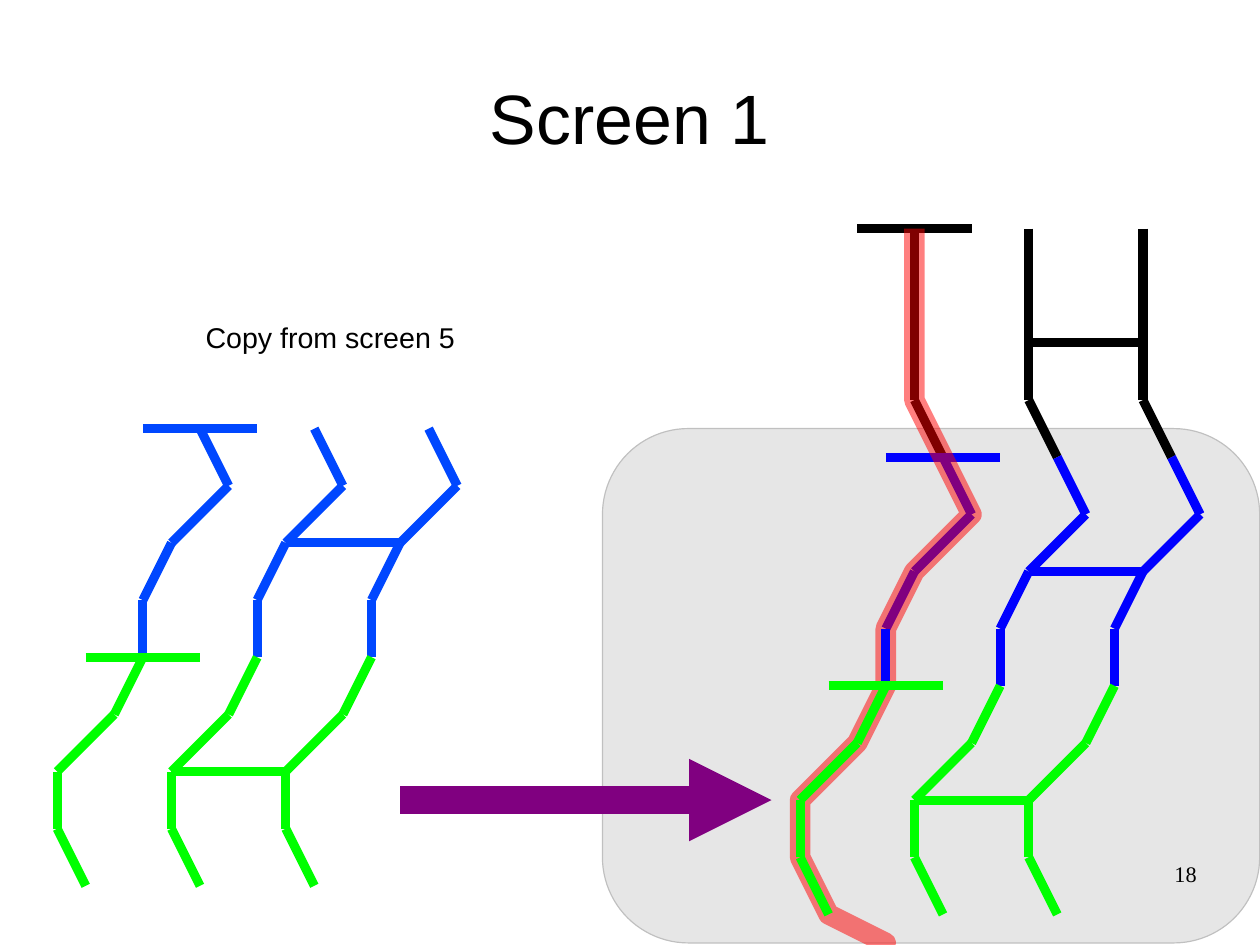
from dataclasses import dataclass
from itertools import pairwise

from lxml.etree import SubElement
from pptx import Presentation
from pptx.dml.color import RGBColor
from pptx.enum.shapes import MSO_CONNECTOR, MSO_SHAPE
from pptx.enum.text import MSO_ANCHOR, MSO_AUTO_SIZE, PP_ALIGN
from pptx.oxml.ns import qn
from pptx.shapes.connector import Connector
from pptx.slide import Slide
from pptx.text.text import TextFrame
from pptx.util import Pt

BLACK = RGBColor(0x00, 0x00, 0x00)
BLUE = RGBColor(0x00, 0x00, 0xFF)
AZURE = RGBColor(0x00, 0x47, 0xFF)
GREEN = RGBColor(0x00, 0xFF, 0x00)
RED = RGBColor(0xFF, 0x00, 0x00)
PURPLE = RGBColor(0x80, 0x00, 0x80)
PALE = RGBColor(0xE6, 0xE6, 0xE6)
GRAY = RGBColor(0xC0, 0xC0, 0xC0)

Point = tuple[float, float]

# Grid: strands one pitch apart, each step one row down
PITCH = 72
ROW = 36
STROKE = 5.75

# Sideways shift of each step
UPPER = (0, 0, 0, 18)
MIDDLE = (18, -36, -18)
STEM = (0,)
LOWER = (-18, -36, 0, 18)


@dataclass
class Band:
    """Three equal strands, with a cap on the first and a bar between the others."""
    start: Point
    steps: tuple[int, ...]
    color: RGBColor
    bar: int | None = 2  # step at which the bar sits; None leaves out cap and bar


UNDER = [
    Band((576, 144), UPPER, BLACK),
    Band((594, 288), MIDDLE, BLUE),
]
OVER = [
    Band((558, 396), STEM, BLUE, None),
    Band((126, 270), MIDDLE + STEM, AZURE),
    Band((90, 414), LOWER, GREEN),
    Band((558, 432), LOWER, GREEN),
]


def trace(start: Point, steps: tuple[int, ...]) -> list[Point]:
    spots = [start]
    for shift in steps:
        x, y = spots[-1]
        spots.append((x + shift, y + ROW))
    return spots


def add_line(slide: Slide, a: Point, b: Point, color: RGBColor,
             width: float = STROKE) -> Connector:
    line = slide.shapes.add_connector(
        MSO_CONNECTOR.STRAIGHT, Pt(a[0]), Pt(a[1]), Pt(b[0]), Pt(b[1]))
    line.line.color.rgb = color
    line.line.width = Pt(width)
    SubElement(line._element.spPr, qn("a:effectLst"))
    return line


def add_band(slide: Slide, band: Band) -> None:
    spots = trace(band.start, band.steps)
    for col in range(3):
        move = col * PITCH
        for (ax, ay), (bx, by) in pairwise(spots):
            add_line(slide, (ax + move, ay), (bx + move, by), band.color)
    if band.bar is not None:
        x, y = spots[0]
        add_line(slide, (x - PITCH / 2, y), (x + PITCH / 2, y), band.color)
        x, y = spots[band.bar]
        add_line(slide, (x + PITCH, y), (x + 2 * PITCH, y), band.color)


def add_trail(slide: Slide) -> None:
    spots = trace((576, 144), UPPER + MIDDLE + STEM + LOWER)
    spots += [(558, 594), (522, 630), (504, 666)]
    pen = slide.shapes.build_freeform(*spots[0], scale=Pt(1))
    pen.add_line_segments(spots[1:], close=False)
    trail = pen.convert_to_shape()
    trail.shadow.inherit = False
    trail.fill.background()
    trail.line.color.rgb = RED
    trail.line.width = Pt(12.95)
    edge = trail.line._get_or_add_ln()
    shade = edge.find(".//" + qn("a:srgbClr"))
    SubElement(shade, qn("a:alpha"), val="50000")
    SubElement(edge, qn("a:round"))


def set_text(frame: TextFrame, text: str, size: float, font: str,
             align: PP_ALIGN, inset: Point = (0, 0)) -> None:
    frame.margin_left = frame.margin_right = Pt(inset[0])
    frame.margin_top = frame.margin_bottom = Pt(inset[1])
    para = frame.paragraphs[0]
    para.text = text
    para.alignment = align
    para.font.size = Pt(size)
    para.font.name = font
    para.font.color.rgb = BLACK


def main() -> None:
    deck = Presentation()
    deck.slide_width, deck.slide_height = Pt(793.7), Pt(595.28)
    slide = deck.slides.add_slide(deck.slide_layouts[5])
    shapes = slide.shapes

    # Title
    title = shapes.title
    title.left, title.top = Pt(39.6), Pt(23.76)
    title.width, title.height = Pt(714.24), Pt(99.36)
    title.text_frame.vertical_anchor = MSO_ANCHOR.MIDDLE
    set_text(title.text_frame, "Screen 1", 44, "Arial", PP_ALIGN.CENTER)

    # Panel behind the lower right strands
    panel = shapes.add_shape(
        MSO_SHAPE.ROUNDED_RECTANGLE, Pt(379.5), Pt(270), Pt(414), Pt(324))
    panel.adjustments[0] = 0.167
    panel.shadow.inherit = False
    panel.fill.solid()
    panel.fill.fore_color.rgb = PALE
    panel.line.color.rgb = GRAY
    panel.line.width = Pt(0)

    # Strands, with the red trail between the layers
    for band in UNDER:
        add_band(slide, band)
    add_trail(slide)
    for band in OVER:
        add_band(slide, band)

    # Label
    label = shapes.add_textbox(Pt(122.4), Pt(198), Pt(171.36), Pt(27.36)).text_frame
    label.word_wrap = False
    label.auto_size = MSO_AUTO_SIZE.SHAPE_TO_FIT_TEXT
    set_text(label, "Copy from screen 5", 18, "Arial", PP_ALIGN.LEFT, (7.2, 3.6))

    # Copy arrow
    arrow = add_line(slide, (252, 504), (486, 504), PURPLE, 17.29)
    SubElement(arrow.line._get_or_add_ln(), qn("a:tailEnd"), type="triangle")

    # Page number
    page = shapes.add_textbox(Pt(568.8), Pt(542.16), Pt(185.04), Pt(41.04)).text_frame
    page.word_wrap = True
    set_text(page, "18", 14, "Times New Roman", PP_ALIGN.RIGHT)

    deck.save("out.pptx")


if __name__ == "__main__":
    main()
